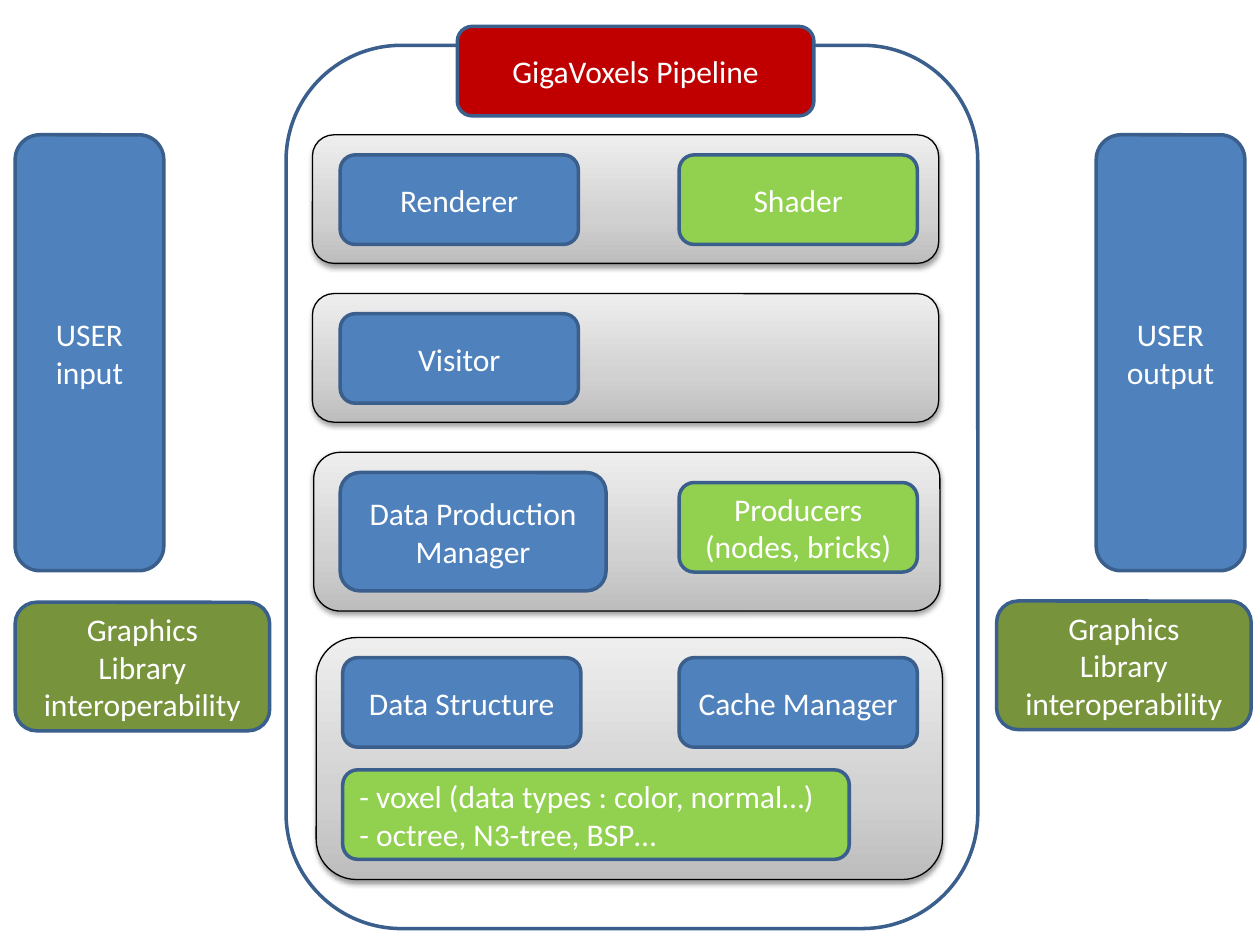
"""Draw the voxel pipeline diagram on one slide."""
from copy import deepcopy
from dataclasses import dataclass
from typing import Optional

from lxml.etree import SubElement
from pptx import Presentation
from pptx.dml.color import RGBColor
from pptx.enum.shapes import MSO_SHAPE
from pptx.enum.text import MSO_ANCHOR, PP_ALIGN
from pptx.oxml.ns import qn
from pptx.util import Inches, Pt

BLUE = RGBColor(0x4F, 0x81, 0xBD)
EDGE = RGBColor(0x3A, 0x5F, 0x8C)
RED = RGBColor(0xC0, 0x00, 0x00)
LIME = RGBColor(0x92, 0xD0, 0x50)
OLIVE = RGBColor(0x77, 0x93, 0x3C)
WHITE = RGBColor(0xFF, 0xFF, 0xFF)
BLACK = RGBColor(0x00, 0x00, 0x00)
SHADES = [
    (0, RGBColor(0xBD, 0xBD, 0xBD)),
    (0.35, RGBColor(0xD1, 0xD1, 0xD1)),
    (1, RGBColor(0xEE, 0xEE, 0xEE)),
]

WIDE, HIGH = Inches(10), Inches(7.5)


@dataclass(frozen=True)
class Area:
    """Place and size in percent of the slide's width and height."""
    left: float
    top: float
    width: float
    height: float


@dataclass(frozen=True)
class Box:
    """A rounded box with its label."""
    area: Area
    fill: Optional[RGBColor] = None
    text: str = ""
    align: PP_ALIGN = PP_ALIGN.CENTER


def add_round(shapes, area: Area, edge: RGBColor, weight: float):
    """Add a plain rounded rectangle with an outline."""
    shape = shapes.add_shape(
        MSO_SHAPE.ROUNDED_RECTANGLE,
        round(WIDE * area.left / 100), round(HIGH * area.top / 100),
        round(WIDE * area.width / 100), round(HIGH * area.height / 100))
    shape.shadow.inherit = False
    shape.line.color.rgb = edge
    shape.line.width = Pt(weight)
    return shape


def add_panel(shapes, area: Area) -> None:
    """Add a grey shaded panel with a soft shadow."""
    shape = add_round(shapes, area, BLACK, 0.75)
    shape.fill.gradient()
    shape.fill.gradient_angle = 90
    props = shape.element.spPr
    stops = props.find(qn("a:gradFill")).find(qn("a:gsLst"))
    stops.append(deepcopy(stops[0]))
    for stop, (place, shade) in zip(shape.fill.gradient_stops, SHADES):
        stop.position = place
        stop.color.rgb = shade
    glow = SubElement(
        props.find(qn("a:effectLst")), qn("a:outerShdw"),
        blurRad=str(Pt(3.1)), dist=str(Pt(1.6)), dir="5400000", rotWithShape="0")
    tint = SubElement(glow, qn("a:srgbClr"), val=str(BLACK))
    SubElement(tint, qn("a:alpha"), val="38000")


def add_box(shapes, box: Box) -> None:
    """Add a filled box and format its label."""
    shape = add_round(shapes, box.area, EDGE, 2)
    if box.fill is None:
        shape.fill.background()
        return
    shape.fill.solid()
    shape.fill.fore_color.rgb = box.fill
    frame = shape.text_frame
    frame.text = box.text
    frame.word_wrap = True
    frame.vertical_anchor = MSO_ANCHOR.MIDDLE
    for para in frame.paragraphs:
        para.alignment = box.align
        for run in para.runs:
            run.font.name = "Calibri"
            run.font.size = Pt(18)
            run.font.color.rgb = WHITE


LEFT, RIGHT = 27, 53.9
CELL_W, CELL_H = 18.9, 9.47
PANEL_W = 49.7
ROW, STEP, ROW_H = 14.27, 16.8, 13.6
INSET = 2.13
STORE = 67.47
SIDE_W, SIDE_H = 11.8, 46.13
LINK = "Graphics\nLibrary\ninteroperability"

PANELS = [
    Area(25.1, STORE, PANEL_W, 25.6),
    Area(24.9, ROW + 2 * STEP, PANEL_W, STEP),
    Area(24.8, ROW + STEP, PANEL_W, ROW_H),
    Area(24.8, ROW, PANEL_W, ROW_H),
]


def cell(left: float, top: float) -> Area:
    """Return the area of a standard cell."""
    return Area(left, top, CELL_W, CELL_H)


BOXES = [
    Box(Area(22.7, 4.8, 54.9, 93.47)),
    Box(Area(36.3, 2.8, 28.3, CELL_H), RED, "GigaVoxels Pipeline"),
    Box(Area(1.2, ROW, SIDE_W, SIDE_H), BLUE, "USER\ninput"),
    Box(Area(87, ROW, SIDE_W, SIDE_H), BLUE, "USER\noutput"),
    Box(Area(1.2, 63.73, 20.2, ROW_H), OLIVE, LINK),
    Box(Area(79.1, 63.6, 20.2, ROW_H), OLIVE, LINK),
    Box(cell(LEFT, ROW + INSET), BLUE, "Renderer"),
    Box(cell(RIGHT, ROW + INSET), LIME, "Shader"),
    Box(cell(LEFT, ROW + STEP + INSET), BLUE, "Visitor"),
    Box(Area(LEFT, 50, 21.1, 12.53), BLUE, "Data Production\nManager"),
    Box(cell(RIGHT, 51.07), LIME, "Producers\n(nodes, bricks)"),
    Box(cell(27.2, STORE + INSET), BLUE, "Data Structure"),
    Box(cell(RIGHT, STORE + INSET), BLUE, "Cache Manager"),
    Box(Area(27.2, 81.47, 40.2, CELL_H), LIME,
        "- voxel (data types : color, normal…)\n- octree, N3-tree, BSP…",
        PP_ALIGN.LEFT),
]


def main() -> None:
    """Build and save the slide."""
    deck = Presentation()
    deck.slide_width, deck.slide_height = WIDE, HIGH
    shapes = deck.slides.add_slide(deck.slide_layouts[6]).shapes
    for area in PANELS:
        add_panel(shapes, area)
    for box in BOXES:
        add_box(shapes, box)
    deck.save("out.pptx")


main()
